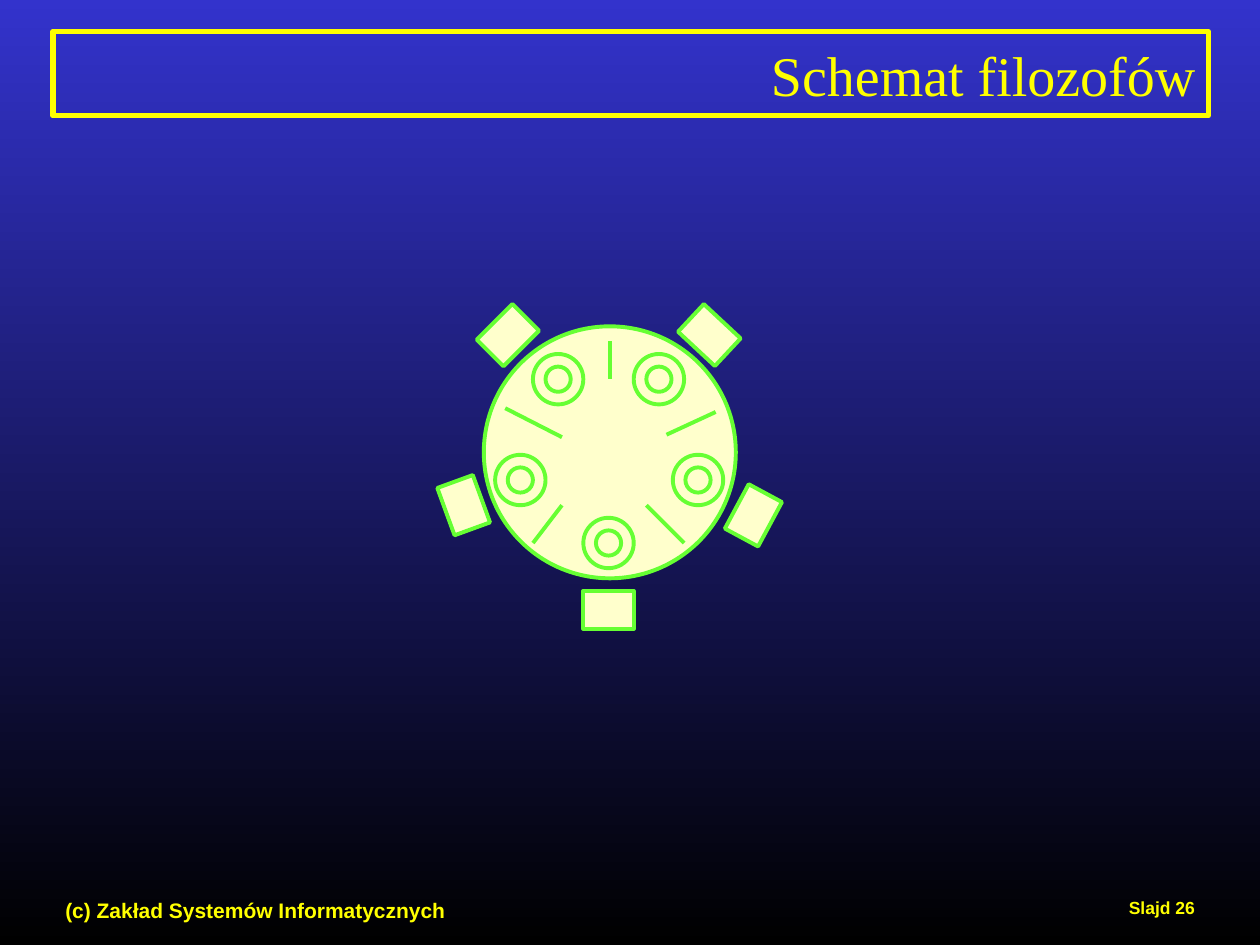
from lxml import etree
from pptx import Presentation
from pptx.dml.color import RGBColor
from pptx.enum.shapes import MSO_CONNECTOR, MSO_SHAPE
from pptx.enum.text import MSO_ANCHOR, PP_ALIGN
from pptx.oxml.ns import qn
from pptx.util import Inches, Pt

BLUE = RGBColor(0x33, 0x33, 0xCC)
BLACK = RGBColor(0x00, 0x00, 0x00)
YELLOW = RGBColor(0xFF, 0xFF, 0x00)
CREAM = RGBColor(0xFF, 0xFF, 0xCC)
GREEN = RGBColor(0x66, 0xFF, 0x33)

presentation = Presentation()
presentation.slide_width = Inches(10)
presentation.slide_height = Inches(7.5)
slide = presentation.slides.add_slide(presentation.slide_layouts[6])

# Background: blue at the top, black at the bottom
background = slide.background.fill
background.gradient()
background.gradient_angle = 270
for stop, color in zip(background.gradient_stops, (BLUE, BLACK)):
    stop.color.rgb = color


def add_text(text, left, top, width, height, font_name, size, bold, align, anchor):
    box = slide.shapes.add_textbox(
        Inches(left), Inches(top), Inches(width), Inches(height))
    frame = box.text_frame
    frame.word_wrap = True
    frame.vertical_anchor = anchor
    paragraph = frame.paragraphs[0]
    paragraph.alignment = align
    run = paragraph.add_run()
    run.text = text
    run.font.name = font_name
    run.font.size = Pt(size)
    run.font.bold = bold
    run.font.color.rgb = YELLOW
    return box


def add_centered(kind, center_x, center_y, width, height, rotation=0):
    shape = slide.shapes.add_shape(
        kind, Inches(center_x - width / 2), Inches(center_y - height / 2),
        Inches(width), Inches(height))
    shape.rotation = rotation
    shape.shadow.inherit = False
    shape.fill.solid()
    shape.fill.fore_color.rgb = CREAM
    shape.line.color.rgb = GREEN
    shape.line.width = Pt(2.25)


# Footer and slide number
add_text("(c) Zakład Systemów Informatycznych", 0.42, 7.07, 5.83, 0.25,
         "Arial", 12, True, PP_ALIGN.LEFT, MSO_ANCHOR.TOP)
add_text("Slajd 26", 7.5, 7.07, 2.08, 0.25,
         "Arial", 10, True, PP_ALIGN.RIGHT, MSO_ANCHOR.TOP)

# Framed title
title = add_text("Schemat filozofów", 0.42, 0.25, 9.17, 0.67,
                 "Times New Roman", 32, False, PP_ALIGN.RIGHT, MSO_ANCHOR.MIDDLE)
title.line.color.rgb = YELLOW
title.line.width = Pt(3)

# Round table
add_centered(MSO_SHAPE.OVAL, 4.84, 3.59, 2, 2)

# Plates: two concentric circles each
plates = [(5.23, 3.01), (4.83, 4.31), (4.13, 3.81), (5.54, 3.81), (4.43, 3.01)]
for x, y in plates:
    for diameter in (0.4, 0.2):
        add_centered(MSO_SHAPE.OVAL, x, y, diameter, diameter)

# Forks between the plates
forks = [
    (4.84, 2.71, 4.84, 3.01),
    (5.68, 3.27, 5.29, 3.45),
    (5.13, 4.01, 5.43, 4.31),
    (4.01, 3.24, 4.46, 3.47),
    (4.46, 4.01, 4.23, 4.31),
]
for ends in forks:
    fork = slide.shapes.add_connector(
        MSO_CONNECTOR.STRAIGHT, *(Inches(value) for value in ends))
    fork.line.color.rgb = GREEN
    fork.line.width = Pt(2.25)
    etree.SubElement(fork._element.spPr, qn("a:effectLst"))

# Chairs around the table: centre and rotation
chairs = [
    (4.83, 4.84, 0),
    (5.63, 2.66, 43),
    (3.68, 4.01, 70),
    (4.03, 2.66, 135),
    (5.98, 4.09, 298.3),
]
for x, y, rotation in chairs:
    add_centered(MSO_SHAPE.RECTANGLE, x, y, 0.4, 0.3, rotation)

presentation.save("out.pptx")
